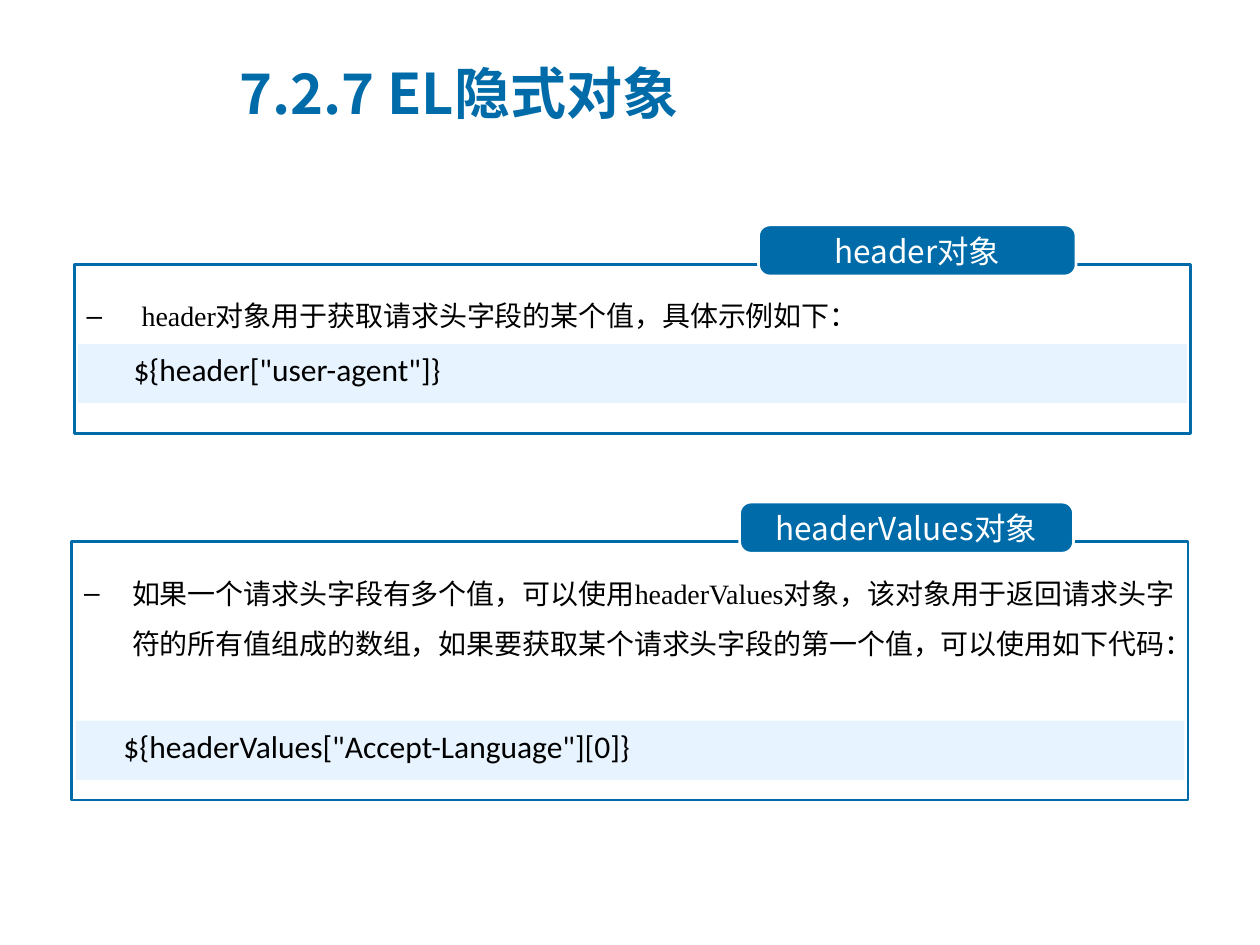
from pptx import Presentation
from pptx.dml.color import RGBColor
from pptx.enum.shapes import MSO_SHAPE as SHAPE
from pptx.enum.text import MSO_ANCHOR as ANCHOR, PP_ALIGN as ALIGN
from pptx.oxml.ns import qn
from pptx.util import Inches, Pt
from lxml.etree import SubElement

BLUE = RGBColor(0x00, 0x6B, 0xA9)
PALE = RGBColor(0xE7, 0xF4, 0xFF)
WHITE = RGBColor(0xFF, 0xFF, 0xFF)
BLACK = RGBColor(0x00, 0x00, 0x00)
SANS = "Noto Sans CJK SC"
SERIF = "Times New Roman"

prs = Presentation()
prs.slide_width, prs.slide_height = Inches(10), Inches(7.5)
COL = prs.slide_width / 100
ROW = prs.slide_height / 75
s = prs.slides.add_slide(prs.slide_layouts[6])


def add_box(x, y, w, h, kind=None, fill=None, line=None):
    at = int(x * COL), int(y * ROW), int(w * COL), int(h * ROW)
    if kind is None:
        return s.shapes.add_textbox(*at)
    sp = s.shapes.add_shape(kind, *at)
    sp.shadow.inherit = False
    if fill is None:
        sp.fill.background()
    else:
        sp.fill.solid()
        sp.fill.fore_color.rgb = fill
    if line is None:
        sp.line.fill.background()
    else:
        sp.line.color.rgb = line
        sp.line.width = Pt(1.5)
    return sp


def write(sp, text, size, font, color=BLACK, bold=False, align=ALIGN.LEFT,
          anchor=ANCHOR.TOP, left=0.1, bullet=None):
    tf = sp.text_frame
    tf.word_wrap = True
    tf.vertical_anchor = anchor
    tf.margin_left = Inches(left)
    p = tf.paragraphs[0]
    p.alignment = align
    r = p.add_run()
    r.text = text
    r.font.size, r.font.name, r.font.bold = Pt(size), font, bold
    r.font.color.rgb = color
    SubElement(r.font._element, qn("a:ea")).set("typeface", SANS)
    if bullet:
        p.line_spacing = 1.5
        p.space_before = Pt(size * 0.2)
        pPr = p._p.get_or_add_pPr()
        pPr.set("marL", str(Inches(0.38)))
        pPr.set("indent", str(-Inches(0.38)))
        SubElement(pPr, qn("a:buFont")).set("typeface", "Arial")
        SubElement(pPr, qn("a:buChar")).set("char", bullet)


sections = [
    dict(left=5.9, top=21, height=13.4, tab=(60.2, 25.2), code_top=27.3,
         code_indent=0.44, name="header对象",
         note=" header对象用于获取请求头字段的某个值，具体示例如下：",
         code='${header["user-agent"]}'),
    dict(left=5.7, top=43, height=20.5, tab=(58.7, 26.5), code_top=57.2,
         code_indent=0.38, name="headerValues对象",
         note="如果一个请求头字段有多个值，可以使用headerValues对象，该对象用于返回请求头"
              "字符的所有值组成的数组，如果要获取某个请求头字段的第一个值，可以使用如下代码：",
         code='${headerValues["Accept-Language"][0]}'),
]

for sec in sections:
    left, top = sec["left"], sec["top"]
    note = add_box(left, top + 0.9, 88.6, sec["code_top"] - top - 0.9)
    write(note, sec["note"], 16, SERIF, bullet="–")
    add_box(left, top, 88.6, sec["height"], SHAPE.RECTANGLE, line=BLUE)
    tab_left, tab_width = sec["tab"]
    tab = add_box(tab_left, top - 3.15, tab_width, 4.05,
                  SHAPE.ROUNDED_RECTANGLE, BLUE, WHITE)
    tab.adjustments[0] = 0.22
    write(tab, sec["name"], 18, SANS, WHITE, align=ALIGN.CENTER, anchor=ANCHOR.MIDDLE)
    code = add_box(left + 0.3, sec["code_top"], 88, 4.7, SHAPE.RECTANGLE, PALE)
    write(code, sec["code"], 18, "Calibri", left=sec["code_indent"])

title = add_box(18, 4.3, 67.8, 6.1)
write(title, "7.2.7 EL隐式对象", 32, SANS, BLUE, bold=True, anchor=ANCHOR.MIDDLE)

prs.save("out.pptx")
